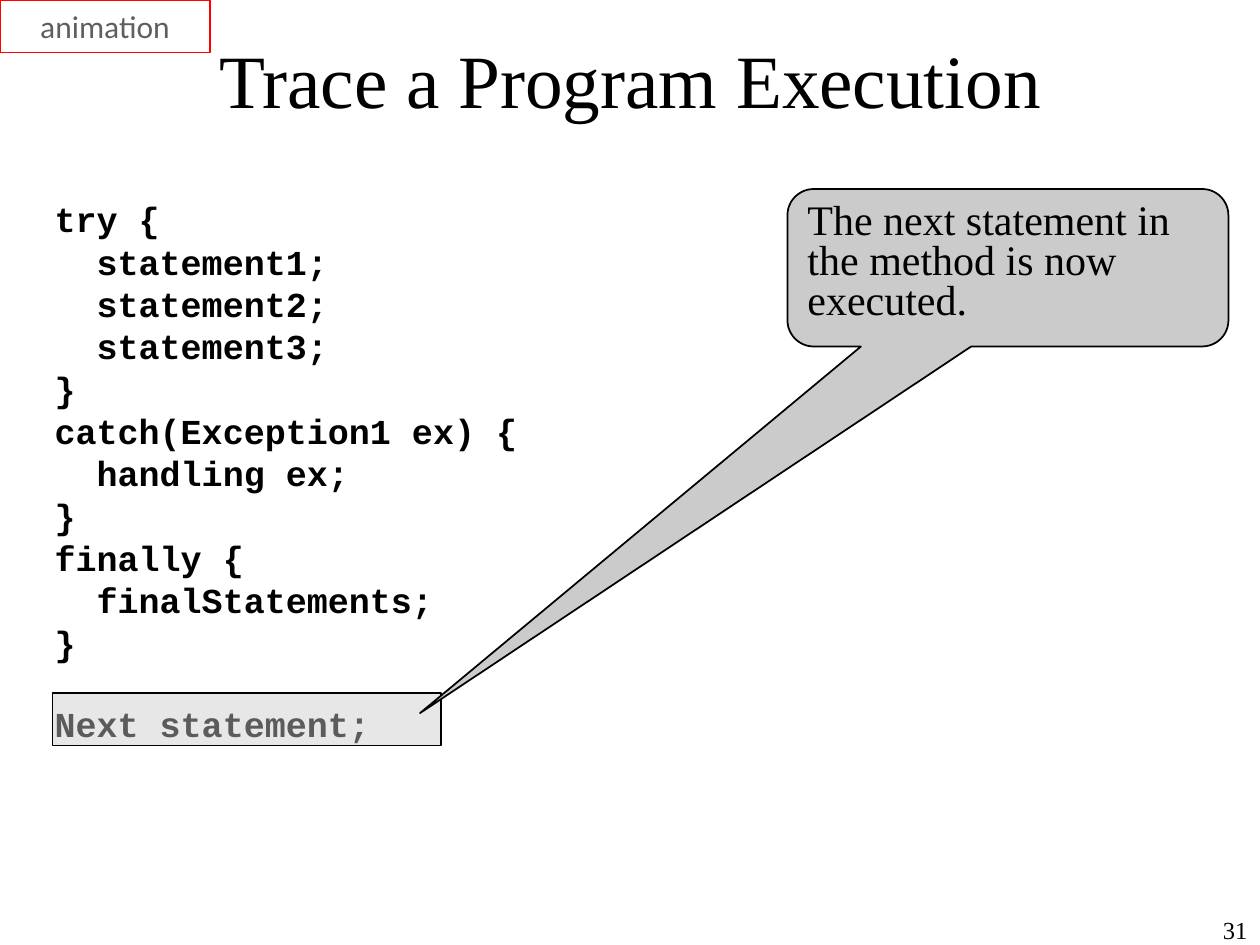
from lxml.etree import SubElement
from pptx import Presentation
from pptx.dml.color import RGBColor
from pptx.enum.shapes import MSO_SHAPE
from pptx.enum.text import MSO_ANCHOR, MSO_AUTO_SIZE, PP_ALIGN
from pptx.oxml.ns import qn
from pptx.util import Inches, Pt

COLUMNS, ROWS = 120, 90
SERIF, MONO, SANS = "Times New Roman", "Courier New", "Calibri"
BLACK, GREY, RED, SILVER = "000000", "5F5F5F", "FF0000", "CBCBCB"

CODE = """try {
  statement1;
  statement2;
  statement3;
}
catch(Exception1 ex) {
  handling ex;
}
finally {
  finalStatements;
}""".split("\n")
NEXT_STATEMENT = "Next statement;"


def color(hex_code):
    return RGBColor.from_string(hex_code)


def write(shape, lines, size, font=SERIF, ink=BLACK, bold=False, align=PP_ALIGN.LEFT,
          anchor=MSO_ANCHOR.TOP, wrap=True, spacing=1.0, gaps=None, hanging=0):
    """Fill a shape with paragraphs; gaps are the points before each one."""
    frame = shape.text_frame
    frame.auto_size = MSO_AUTO_SIZE.NONE
    frame.word_wrap = wrap
    frame.vertical_anchor = anchor
    for index, (line, gap) in enumerate(zip(lines, gaps or [0] * len(lines))):
        paragraph = frame.add_paragraph() if index else frame.paragraphs[0]
        paragraph.alignment = align
        paragraph.line_spacing = spacing
        paragraph.space_before = Pt(gap)
        properties = paragraph._p.get_or_add_pPr()
        properties.set("marL", str(Inches(hanging)))
        properties.set("indent", str(-Inches(hanging)))
        SubElement(properties, qn("a:buNone"))
        run = paragraph.add_run()
        run.text = line
        run.font.name = font
        run.font.size = Pt(size)
        run.font.bold = bold
        run.font.color.rgb = color(ink)


class TraceSlide:
    """Places elements on a grid of 120 columns by 90 rows."""

    def __init__(self, deck):
        self.cell_width = deck.slide_width / COLUMNS
        self.cell_height = deck.slide_height / ROWS
        self.slide = deck.slides.add_slide(deck.slide_layouts[1])

    def area(self, column, row, columns, rows):
        return (round(column * self.cell_width), round(row * self.cell_height),
                round(columns * self.cell_width), round(rows * self.cell_height))

    def placeholder(self, index, cells, lines, **style):
        holder = self.slide.placeholders[index]
        holder.left, holder.top, holder.width, holder.height = self.area(*cells)
        write(holder, lines, **style)

    def text(self, cells, line, **style):
        write(self.slide.shapes.add_textbox(*self.area(*cells)), [line], **style)

    def shape(self, preset, cells, fill=None, outline=BLACK, opacity=100):
        shape = self.slide.shapes.add_shape(preset, *self.area(*cells))
        shape.shadow.inherit = False
        shape.line.color.rgb = color(outline)
        shape.line.width = Pt(1)
        if fill is None:
            shape.fill.background()
        else:
            shape.fill.solid()
            shape.fill.fore_color.rgb = color(fill)
        if opacity < 100:
            tint = shape.fill._xPr.find(".//" + qn("a:srgbClr"))
            SubElement(tint, qn("a:alpha")).set("val", str(opacity * 1000))
        return shape

    def callout(self, cells, pointer, line, **style):
        bubble = self.shape(MSO_SHAPE.ROUNDED_RECTANGULAR_CALLOUT, cells, fill=SILVER)
        column, row, columns, rows = cells
        bubble.adjustments[0] = (pointer[0] - column) / columns - 0.5
        bubble.adjustments[1] = (pointer[1] - row) / rows - 0.5
        write(bubble, [line], **style)


def main():
    deck = Presentation()
    deck.slide_width, deck.slide_height = Inches(10), Inches(7.5)
    page = TraceSlide(deck)

    page.text((95, 87, 25, 3), "31", size=14, align=PP_ALIGN.RIGHT,
              anchor=MSO_ANCHOR.MIDDLE, wrap=False)
    page.placeholder(0, (9, 4, 102, 7), ["Trace a Program Execution"], size=43,
                     align=PP_ALIGN.CENTER, anchor=MSO_ANCHOR.MIDDLE)
    animation_tag = page.shape(MSO_SHAPE.RECTANGLE, (0, 0, 20, 5), outline=RED)
    write(animation_tag, ["animation"], size=18, font=SANS, ink=GREY,
          align=PP_ALIGN.CENTER, anchor=MSO_ANCHOR.MIDDLE, wrap=False)

    code_gaps = [0] + [5] * (len(CODE) - 1) + [27]
    page.placeholder(1, (4, 19, 61, 59), CODE + [NEXT_STATEMENT], size=20, font=MONO,
                     bold=True, spacing=0.8, gaps=code_gaps, hanging=0.38)
    page.shape(MSO_SHAPE.RECTANGLE, (5, 66, 37, 5), fill=SILVER, opacity=45)
    page.callout((75, 18, 42, 15), (40, 67.92),
                 "The next statement in the method is now executed.",
                 size=24, spacing=0.8)

    deck.save("out.pptx")


if __name__ == "__main__":
    main()
